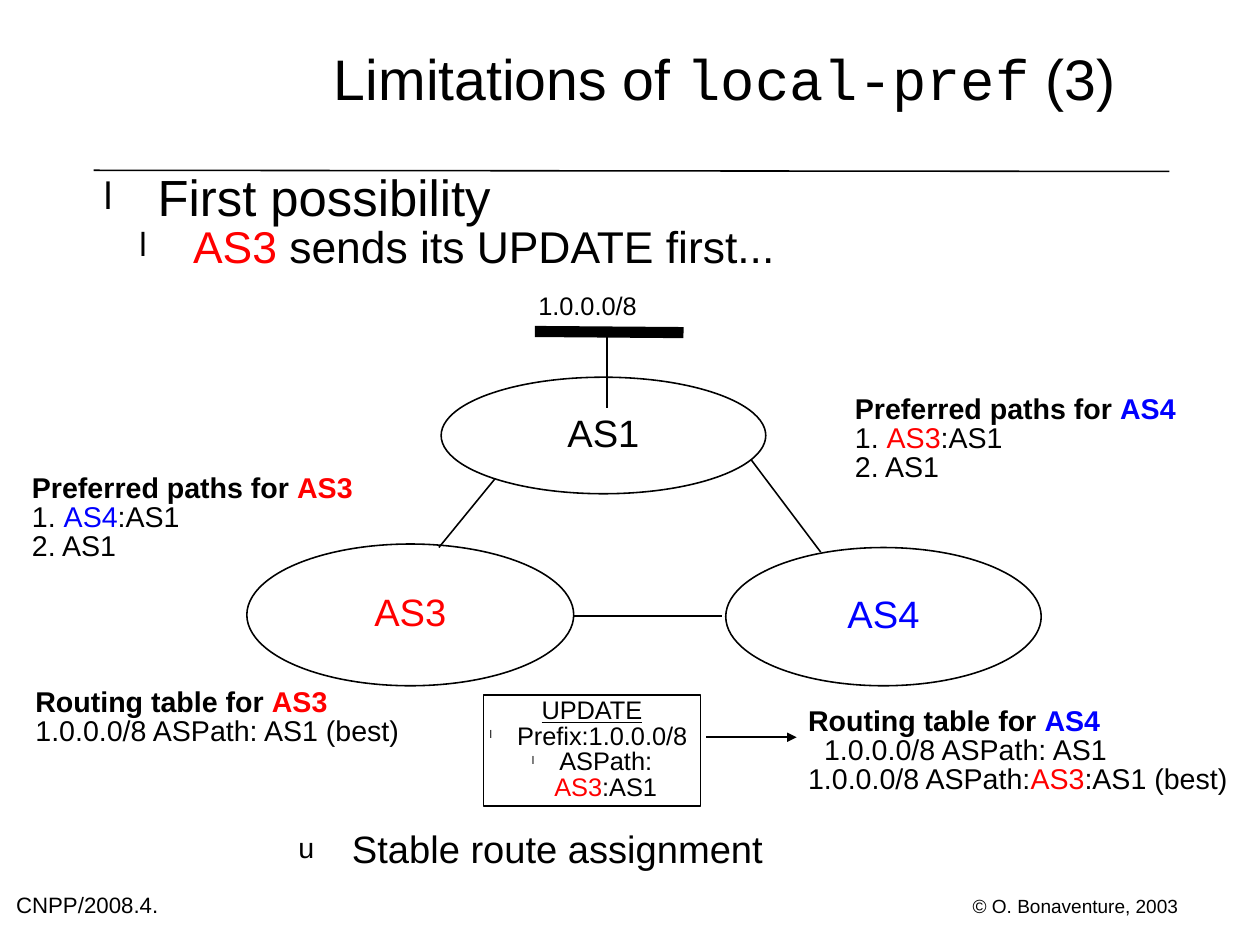
from lxml import etree
from pptx import Presentation, util as u
from pptx.dml.color import RGBColor
from pptx.enum import shapes, text
from pptx.oxml import ns

CELL = u.Inches(0.1)  # grid unit: about 110 columns by 83 rows
BLACK, RED, BLUE = "000000", "FF0000", "0000FF"
WORD_STYLES = {"AS3": ("Arial", RED), "AS4": ("Arial", BLUE),
               "local-pref": ("Courier New", BLACK)}
CENTER = text.PP_ALIGN.CENTER


def cells(*values):
    return [round(v * CELL) for v in values]


def rgb(hex_color):
    return RGBColor.from_string(hex_color)


def inside(box, x, y, w=0, h=0):
    """Turn a position relative to box into grid coordinates."""
    return box[0] + x, box[1] + y, w, h


def sub(parent, tag, **attributes):
    return etree.SubElement(parent, ns.qn(tag), attributes)


def add_bullet(p, char, percent):
    pPr = p._p.get_or_add_pPr()
    sub(sub(pPr, "a:buClr"), "a:srgbClr", val=BLACK)
    sub(pPr, "a:buSzPct", val=str(percent * 1000))
    sub(pPr, "a:buFont", typeface="Arial")
    sub(pPr, "a:buChar", char=char)


def write(sp, line, size=18, bold=False, underline=False, align=None,
          bullet=None, bullet_size=75, left=0, hang=0):
    """Add one paragraph, styling the words listed in WORD_STYLES."""
    tf = sp.text_frame
    p = tf.paragraphs[0] if not tf.paragraphs[0].runs else tf.add_paragraph()
    if bullet:
        add_bullet(p, bullet, bullet_size)
    pPr = p._p.get_or_add_pPr()
    pPr.set("marL", str(cells(left)[0]))
    pPr.set("indent", str(cells(-hang)[0]))
    p.line_spacing = 0.84
    p.alignment = align
    for word in WORD_STYLES:
        line = line.replace(word, f"|{word}|")
    for piece in filter(None, line.split("|")):
        r = p.add_run()
        r.text = piece
        font, color = WORD_STYLES.get(piece, ("Arial", BLACK))
        r.font.name, r.font.size = font, u.Pt(size)
        r.font.bold, r.font.underline = bold, underline
        r.font.color.rgb = rgb(color)


def set_frame(sp, anchor, wrap=True):
    tf = sp.text_frame
    tf.margin_left = tf.margin_right = tf.margin_top = tf.margin_bottom = 0
    tf.vertical_anchor, tf.word_wrap = anchor, wrap
    tf.auto_size = text.MSO_AUTO_SIZE.NONE


def text_box(s, box, wrap=True):
    sp = s.shapes.add_textbox(*cells(*box))
    set_frame(sp, text.MSO_ANCHOR.TOP, wrap)
    return sp


def outline(s, kind, box):
    sp = s.shapes.add_shape(kind, *cells(*box))
    sp.shadow.inherit = False
    sp.fill.background()
    sp.line.color.rgb, sp.line.width = rgb(BLACK), u.Pt(1)
    set_frame(sp, text.MSO_ANCHOR.MIDDLE)
    return sp


def line(s, box, x1, y1, x2, y2, width=1, arrow=False):
    ends = inside(box, x1, y1)[:2] + inside(box, x2, y2)[:2]
    c = s.shapes.add_connector(shapes.MSO_CONNECTOR.STRAIGHT, *cells(*ends))
    c.line.color.rgb, c.line.width = rgb(BLACK), u.Pt(width)
    if arrow:
        sub(c.line._get_or_add_ln(), "a:tailEnd", type="triangle")
    sub(c._element.spPr, "a:effectLst")


def header(s, box):
    title = s.shapes.title
    title.left, title.top, title.width, title.height = cells(
        *inside(box, 15.4, 0, 79.6, 14.6))
    set_frame(title, text.MSO_ANCHOR.MIDDLE)
    write(title, "Limitations of local-pref (3)", size=36, align=CENTER)
    line(s, box, 0, 14.9, box[2], 15)


def intro(s, box):
    sp = text_box(s, box)
    write(sp, "First possibility", size=32, bullet="l", left=5.5, hang=4.7)
    write(sp, "AS3 sends its UPDATE first...", size=28, bullet="l",
          left=8.6, hang=4.7)


def network(s, box):
    systems = {"AS1": (17, 7.2, 28.4, 10.2), "AS3": (0, 21.8, 28.6, 12.4),
               "AS4": (41.9, 22.1, 27.6, 12.1)}
    for name, place in systems.items():
        sp = outline(s, shapes.MSO_SHAPE.OVAL, inside(box, *place))
        write(sp, name, size=24, align=CENTER)
    links = [(28.6, 28.1, 41.6, 28.1), (16.8, 22.1, 21.7, 16.1),
             (50.2, 22.5, 44.1, 14.4), (31.5, 3.5, 31.5, 9.9)]
    for link in links:
        line(s, box, *link)
    line(s, box, 25.2, 3.2, 38.2, 3.3, width=7)
    write(text_box(s, inside(box, 25.5, 0, 8.6, 2.2), wrap=False),
          "1.0.0.0/8", size=16)


def note(s, box, heading, *entries):
    """Bold heading with entries, each given as text and indent."""
    sp = text_box(s, box)
    write(sp, heading, bold=True)
    for entry, indent in entries:
        write(sp, entry, left=indent)


def update_message(s, box):
    sp = outline(s, shapes.MSO_SHAPE.RECTANGLE, box)
    write(sp, "UPDATE", size=16, underline=True, align=CENTER)
    for field in ("Prefix:1.0.0.0/8 ", "ASPath: AS3:AS1"):
        write(sp, field, size=16, align=CENTER, bullet="l", bullet_size=44,
              left=2.4, hang=2.4)
    line(s, box, 19.5, 3.7, 27.4, 3.7, arrow=True)


def conclusion(s, box):
    write(text_box(s, box), "Stable route assignment", size=24, bullet="u",
          left=11.8, hang=4.7)


def footer(s, box):
    write(text_box(s, inside(box, 0, 0, 16.8, 2.4)), "CNPP/2008.4.", size=14)
    write(text_box(s, inside(box, 83.7, 0.2, 18, 1.7), wrap=False),
          "© O. Bonaventure, 2003", size=12)


def main():
    prs = Presentation()
    prs.slide_width = u.Cm(28)
    prs.slide_height = u.Cm(21)
    s = prs.slides.add_slide(prs.slide_layouts[5])
    header(s, (8.2, 0, 94.1, 15))
    intro(s, (8.3, 15.4, 94.2, 9))
    network(s, (21.6, 25.8, 69.5, 34.2))
    note(s, (2.8, 41.6, 33, 8.2), "Preferred paths for AS3",
         ("1. AS4:AS1", 0), ("2. AS1", 0))
    note(s, (74.8, 34.7, 33, 8.2), "Preferred paths for AS4",
         ("1. AS3:AS1", 0), ("2. AS1", 0))
    note(s, (3.1, 60.3, 38, 5.7), "Routing table for AS3",
         ("1.0.0.0/8 ASPath: AS1 (best)", 0))
    note(s, (70.7, 62, 39, 8.2), "Routing table for AS4",
         ("1.0.0.0/8 ASPath: AS1", 1.4),
         ("1.0.0.0/8 ASPath:AS3:AS1 (best)", 0))
    update_message(s, (42.3, 60.8, 19, 9.7))
    conclusion(s, (19, 72.9, 60, 4))
    footer(s, (1.4, 78.4, 101.7, 2.4))
    prs.save("out.pptx")


if __name__ == "__main__":
    main()
